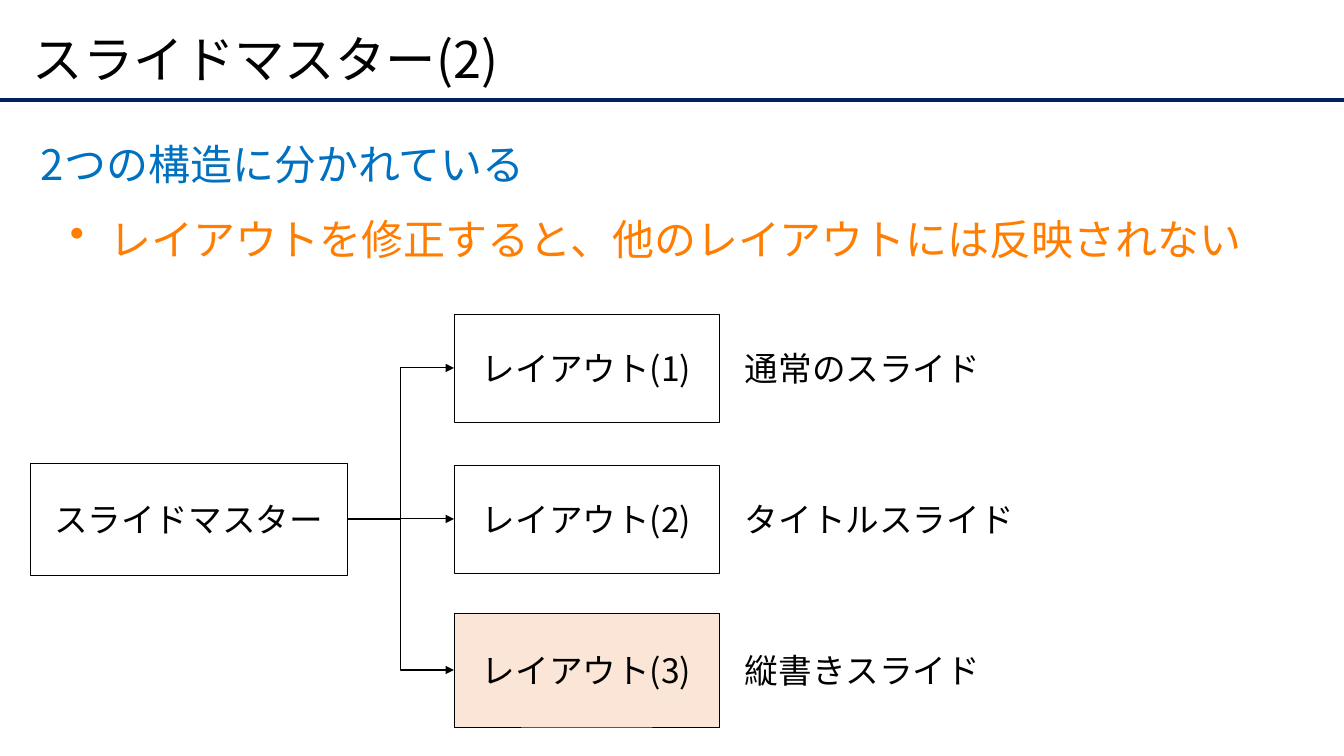
from lxml.etree import SubElement
from pptx import Presentation
from pptx.dml.color import RGBColor
from pptx.enum.shapes import MSO_CONNECTOR, MSO_SHAPE
from pptx.enum.text import MSO_ANCHOR, PP_ALIGN
from pptx.oxml.ns import qn
from pptx.util import Emu, Pt

FONT = "Noto Sans CJK JP"
COLORS = {
    "black": "000000", "white": "FFFFFF", "navy": "002060",
    "blue": "0070C0", "orange": "FF7D00", "peach": "FBE5D6",
}
SCALE = 914400 / 100.8


def px(*lengths):
    return [Emu(round(length * SCALE)) for length in lengths]


def write(shape, lines, size, anchor=MSO_ANCHOR.MIDDLE, align=PP_ALIGN.LEFT, spacing=None):
    frame = shape.text_frame
    frame.word_wrap = True
    frame.vertical_anchor = anchor
    frame.text = "\n".join(text for text, color in lines)
    for paragraph, (text, color) in zip(frame.paragraphs, lines):
        paragraph.alignment = align
        paragraph.line_spacing = spacing
        font = paragraph.runs[0].font
        font.size = Pt(size)
        font.name = FONT
        font.color.rgb = RGBColor.from_string(COLORS[color])
        SubElement(paragraph.runs[0]._r.get_or_add_rPr(), qn("a:ea"), typeface=FONT)


presentation = Presentation()
presentation.slide_width, presentation.slide_height = px(1344, 756)
slide = presentation.slides.add_slide(presentation.slide_layouts[6])
shapes = slide.shapes

# Title and rule below it
rule = shapes.add_connector(MSO_CONNECTOR.STRAIGHT, *px(0, 100, 1344, 100))
rule.line.color.rgb = RGBColor.from_string(COLORS["navy"])
rule.line.width = Pt(2.25)
SubElement(rule._element.spPr, qn("a:effectLst"))
title = shapes.add_textbox(*px(23, 20, 1270, 85))
write(title, [("スライドマスター(2)", "black")], 36, spacing=0.9)

# Heading and bullet
body = shapes.add_textbox(*px(31, 108, 1262, 155))
write(body, [("2つの構造に分かれている", "blue"),
             ("レイアウトを修正すると、他のレイアウトには反映されない", "orange")],
      30, anchor=MSO_ANCHOR.TOP, spacing=1.5)
bullet = body.text_frame.paragraphs[1]._p.get_or_add_pPr()
margin, indent = px(69, -40)
bullet.set("marL", str(margin))
bullet.set("indent", str(indent))
SubElement(bullet, qn("a:buChar"), char="•")

# Boxes: text, left, middle, width, height, fill
FIRST_MIDDLE, ROW_STEP = 368, 151
middles = [FIRST_MIDDLE + ROW_STEP * row for row in range(3)]
box_rows = [
    ("スライドマスター", 30, middles[1], 317, 112, "white"),
    ("レイアウト(1)", 454, middles[0], 265, 108, "white"),
    ("レイアウト(2)", 454, middles[1], 265, 108, "white"),
    ("レイアウト(3)", 454, middles[2], 265, 114, "peach"),
]
boxes = []
for text, left, middle, width, height, fill in box_rows:
    box = shapes.add_shape(MSO_SHAPE.RECTANGLE, *px(left, middle - height / 2, width, height))
    box.shadow.inherit = False
    box.fill.solid()
    box.fill.fore_color.rgb = RGBColor.from_string(COLORS[fill])
    box.line.color.rgb = RGBColor.from_string(COLORS["black"])
    box.line.width = Pt(0.5)
    frame = box.text_frame
    frame.margin_left, frame.margin_right, frame.margin_top, frame.margin_bottom = px(5, 5, 7, 7)
    write(box, [(text, "black")], 24, align=PP_ALIGN.CENTER)
    boxes.append(box)

# Arrows from the master to each layout
master, *layouts = boxes
RIGHT_SITE, LEFT_SITE = 3, 1
kinds = [MSO_CONNECTOR.ELBOW, MSO_CONNECTOR.STRAIGHT, MSO_CONNECTOR.ELBOW]
for kind, layout, middle in zip(kinds, layouts, middles):
    arrow = shapes.add_connector(kind, *px(347, middles[1], 454, middle))
    arrow.begin_connect(master, RIGHT_SITE)
    arrow.end_connect(layout, LEFT_SITE)
    arrow.line.color.rgb = RGBColor.from_string(COLORS["black"])
    arrow.line.width = Pt(0.75)
    SubElement(arrow.line._get_or_add_ln(), qn("a:tailEnd"), type="triangle")
    SubElement(arrow._element.spPr, qn("a:effectLst"))

# Descriptions beside the layouts
for text, middle in zip(["通常のスライド", "タイトルスライド", "縦書きスライド"], middles):
    label = shapes.add_textbox(*px(735, middle - 49, 485, 98))
    write(label, [(text, "black")], 24)

presentation.save("out.pptx")
